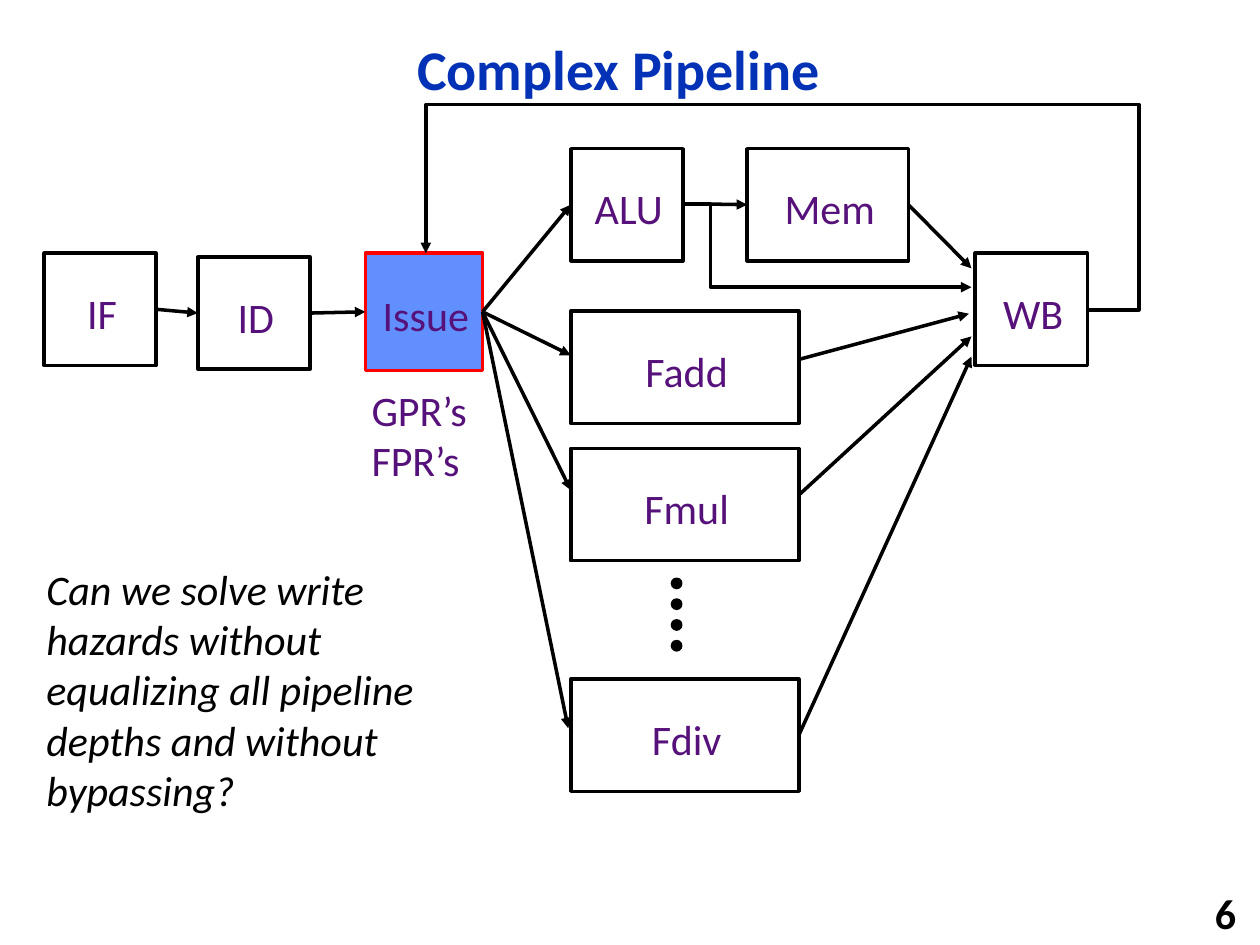
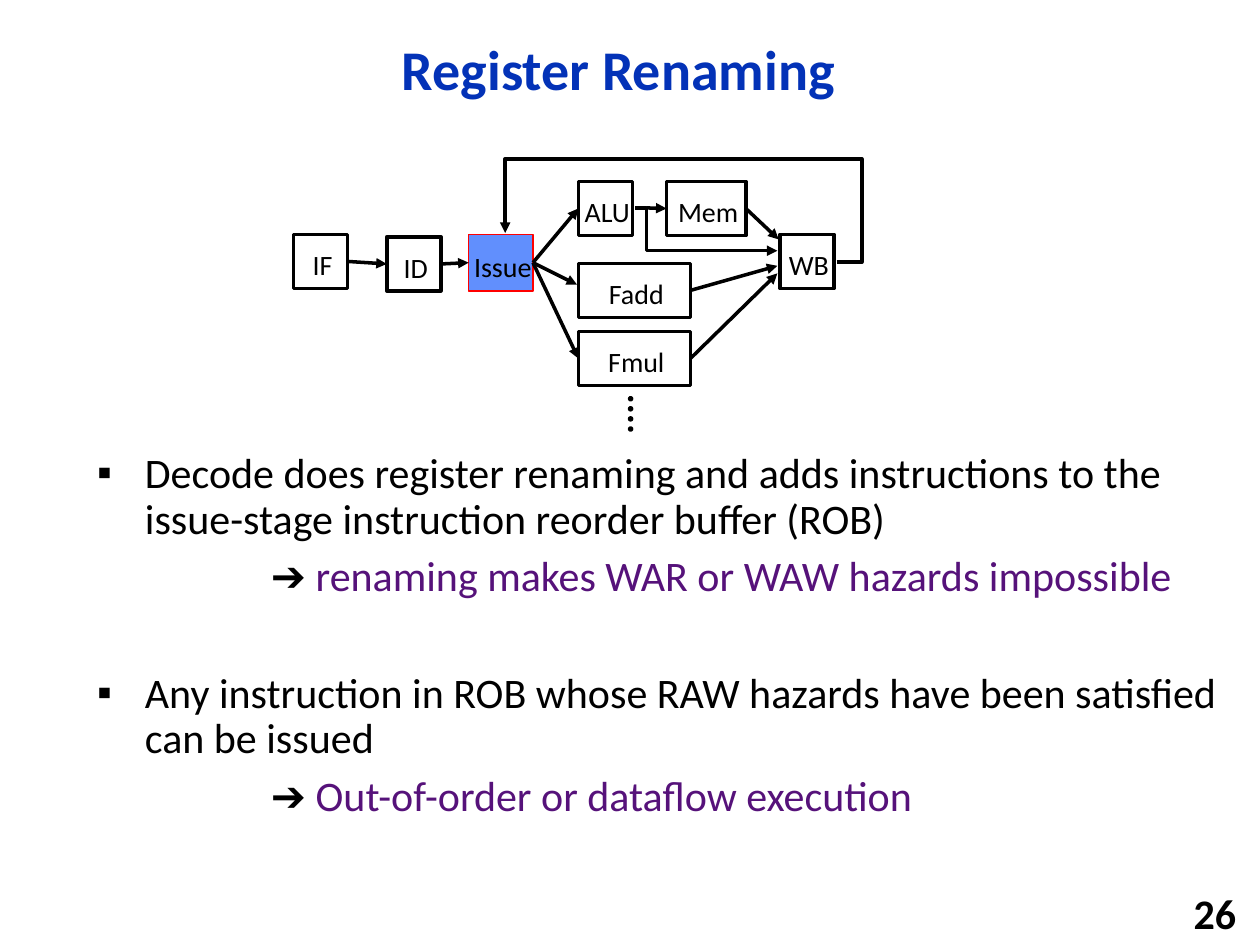
from lxml import etree
from pptx import Presentation
from pptx.dml.color import RGBColor
from pptx.enum import shapes, text
from pptx.oxml.ns import qn
from pptx.util import Inches, Pt

COLORS = {
    "title": "0332B7",
    "ink": "000000",
    "accent": "56127A",
    "issue_fill": "618FFD",
    "issue_line": "FF0000",
}
FONT = "Calibri"
LEFT_SIDE, RIGHT_SIDE = 1, 3

# Stage boxes: left, top, width, height. A stage name in an arrow means the
# middle of its right side (start) or of its left side (end).
COMPLEX_PIPELINE = {
    "stages": {
        "IF": (0.35, 2.01, 0.89, 0.89),
        "ID": (1.57, 2.04, 0.89, 0.89),
        "Issue": (2.9, 2.01, 0.93, 0.93),
        "ALU": (4.53, 1.18, 0.89, 0.89),
        "Mem": (5.93, 1.18, 1.28, 0.89),
        "Fadd": (4.53, 2.47, 1.81, 0.89),
        "Fmul": (4.53, 3.56, 1.81, 0.89),
        "Fdiv": (4.53, 5.39, 1.81, 0.89),
        "WB": (7.74, 2.01, 0.89, 0.89),
    },
    "arrows": [
        ("IF", "ID"),
        ("ID", "Issue"),
        ("Issue", "ALU"),
        ("Issue", (4.53, 2.82)),
        ("Issue", (4.53, 3.89)),
        ("Issue", (4.51, 5.78)),
        ((5.64, 1.62), "Mem"),
        ("Mem", (7.71, 2.13)),
        ((6.35, 2.85), (7.69, 2.49)),
        ((6.35, 3.92), (7.71, 2.67)),
        ("Fdiv", (7.71, 2.83)),
    ],
    "bent_arrows": [
        [(5.43, 1.62), (5.64, 1.62), (5.64, 2.28), (7.71, 2.28)],
        [(8.64, 2.46), (9.04, 2.46), (9.04, 0.83), (3.38, 0.83), (3.38, 2.01)],
    ],
    "dots": {"left": 5.33, "top": 4.59, "size": 0.08, "pitch": 0.165},
    "label": {"size": 24, "color": "accent"},
    "issue_line_width": 2,
}
RENAMING_PIPELINE = {
    "stages": {
        "IF": (2.33, 1.86, 0.43, 0.43),
        "ID": (3.07, 1.88, 0.43, 0.43),
        "Issue": (3.72, 1.86, 0.51, 0.45),
        "ALU": (4.59, 1.44, 0.43, 0.43),
        "Mem": (5.29, 1.44, 0.63, 0.43),
        "Fadd": (4.59, 2.09, 0.89, 0.43),
        "Fmul": (4.59, 2.63, 0.89, 0.43),
        "WB": (6.19, 1.86, 0.43, 0.43),
    },
    "arrows": [
        ("IF", "ID"),
        ("ID", "Issue"),
        ("Issue", "ALU"),
        ("Issue", (4.58, 2.26)),
        ("Issue", "Fmul"),
        ((5.13, 1.65), "Mem"),
        ("Mem", (6.18, 1.9)),
        ("Fadd", (6.17, 2.11)),
        ("Fmul", (6.17, 2.17)),
    ],
    "bent_arrows": [
        [(5.04, 1.65), (5.13, 1.65), (5.13, 1.99), (6.17, 1.99)],
        [(6.64, 2.08), (6.84, 2.08), (6.84, 1.26), (4.01, 1.26), (4.01, 1.85)],
    ],
    "dots": {"left": 4.99, "top": 3.15, "size": 0.03, "pitch": 0.08},
    "label": {"size": 16, "color": "ink"},
    "issue_line_width": 0.75,
}


def rgb(name):
    return RGBColor.from_string(COLORS[name])


def add_run(paragraph, words, size=24, color="ink", bold=False, italic=False):
    run = paragraph.add_run()
    run.text = words
    font = run.font
    font.name, font.size = FONT, Pt(size)
    font.bold, font.italic = bold, italic
    font.color.rgb = rgb(color)


def place(shape, left, top, width, height):
    shape.left, shape.top = Inches(left), Inches(top)
    shape.width, shape.height = Inches(width), Inches(height)


def add_text(slide, box, lines, wrap=True, align=text.PP_ALIGN.LEFT,
             anchor=text.MSO_ANCHOR.TOP, **style):
    frame = slide.shapes.add_textbox(*map(Inches, box)).text_frame
    frame.word_wrap = wrap
    frame.vertical_anchor = anchor
    for index, line in enumerate(lines):
        paragraph = frame.add_paragraph() if index else frame.paragraphs[0]
        paragraph.alignment = align
        add_run(paragraph, line, **style)


def add_slide(presentation, layout, title, number):
    """Start a slide with the shared title style and slide number."""
    slide = presentation.slides.add_slide(presentation.slide_layouts[layout])
    place(slide.shapes.title, 0.92, 0.17, 7.98, 0.81)
    frame = slide.shapes.title.text_frame
    frame.auto_size = text.MSO_AUTO_SIZE.NONE
    frame.vertical_anchor = text.MSO_ANCHOR.MIDDLE
    paragraph = frame.paragraphs[0]
    paragraph.alignment = text.PP_ALIGN.CENTER
    paragraph.line_spacing = 0.9
    add_run(paragraph, title, size=32, color="title", bold=True)
    add_text(slide, (7.83, 7.08, 2.08, 0.32), [number], wrap=False, bold=True,
             align=text.PP_ALIGN.RIGHT, anchor=text.MSO_ANCHOR.MIDDLE)
    return slide


def set_line(shape, color="ink", width=2, arrow=False):
    shape.line.color.rgb = rgb(color)
    shape.line.width = Pt(width)
    if arrow:
        outline = shape.element.find(".//" + qn("a:ln"))
        etree.SubElement(outline, qn("a:tailEnd"), type="triangle")


def add_stage(slide, name, box, label, issue_line_width):
    stage = slide.shapes.add_shape(shapes.MSO_SHAPE.RECTANGLE, *map(Inches, box))
    stage.shadow.inherit = False
    if name == "Issue":
        stage.fill.solid()
        stage.fill.fore_color.rgb = rgb("issue_fill")
        set_line(stage, "issue_line", issue_line_width)
    else:
        stage.fill.background()
        set_line(stage)
    frame = stage.text_frame
    frame.word_wrap = False
    frame.margin_left, frame.margin_right = Inches(0.03), Inches(0)
    frame.margin_top, frame.margin_bottom = Inches(0.05), Inches(0)
    frame.vertical_anchor = text.MSO_ANCHOR.MIDDLE
    frame.paragraphs[0].alignment = text.PP_ALIGN.CENTER
    add_run(frame.paragraphs[0], name, **label)
    return stage


def add_arrow(slide, stages, start, end):
    points = [(0, 0) if isinstance(point, str) else point for point in (start, end)]
    arrow = slide.shapes.add_connector(
        shapes.MSO_CONNECTOR.STRAIGHT,
        *(Inches(value) for point in points for value in point))
    if isinstance(start, str):
        arrow.begin_connect(stages[start], RIGHT_SIDE)
    if isinstance(end, str):
        arrow.end_connect(stages[end], LEFT_SIDE)
    set_line(arrow, arrow=True)
    etree.SubElement(arrow.element.spPr, qn("a:effectLst"))


def add_bent_arrow(slide, points):
    corners = [(Inches(x), Inches(y)) for x, y in points]
    builder = slide.shapes.build_freeform(*corners[0])
    builder.add_line_segments(corners[1:], close=False)
    arrow = builder.convert_to_shape()
    arrow.shadow.inherit = False
    arrow.fill.background()
    set_line(arrow, arrow=True)


def add_dots(slide, left, top, size, pitch, count=4):
    for index in range(count):
        dot = slide.shapes.add_shape(
            shapes.MSO_SHAPE.OVAL, Inches(left), Inches(top + index * pitch),
            Inches(size), Inches(size))
        dot.shadow.inherit = False
        dot.fill.solid()
        dot.fill.fore_color.rgb = rgb("ink")
        set_line(dot, width=1)


def add_pipeline(slide, pipeline):
    stages = {
        name: add_stage(slide, name, box, pipeline["label"], pipeline["issue_line_width"])
        for name, box in pipeline["stages"].items()
    }
    for start, end in pipeline["arrows"]:
        add_arrow(slide, stages, start, end)
    for points in pipeline["bent_arrows"]:
        add_bent_arrow(slide, points)
    add_dots(slide, **pipeline["dots"])


def format_item(paragraph, space_before, margin, indent=0, bullet=None):
    paragraph.line_spacing = 0.9
    paragraph.space_before = Pt(space_before)
    properties = paragraph._p.get_or_add_pPr()
    properties.set("marL", str(Inches(margin)))
    properties.set("indent", str(Inches(indent)))
    if bullet:
        etree.SubElement(properties, qn("a:buChar"), char=bullet)
    else:
        etree.SubElement(properties, qn("a:buNone"))


def fill_body(body, points):
    """Write each statement as a bullet, with its consequence indented below."""
    place(body, 0.67, 3.54, 9.33, 3.19)
    frame = body.text_frame
    frame.auto_size = text.MSO_AUTO_SIZE.NONE
    for index, (statement, consequence) in enumerate(points):
        paragraph = frame.add_paragraph() if index else frame.paragraphs[0]
        format_item(paragraph, 40.5 if index else 0, 0.38, -0.38, "▪")
        add_run(paragraph, statement)
        paragraph = frame.add_paragraph()
        format_item(paragraph, 7.2, 1.38)
        add_run(paragraph, "➔ ")
        add_run(paragraph, consequence, color="accent")


def main():
    presentation = Presentation()
    presentation.slide_width, presentation.slide_height = Inches(10), Inches(7.5)

    slide = add_slide(presentation, 5, "Complex Pipeline", "6")
    add_pipeline(slide, COMPLEX_PIPELINE)
    add_text(slide, (2.85, 3, 0.98, 0.91), ["GPR’s", "FPR’s"], wrap=False, color="accent")
    add_text(slide, (0.27, 4.42, 3.6, 2.12),
             ["Can we solve write hazards without equalizing all pipeline "
              "depths and without bypassing?"], italic=True)

    slide = add_slide(presentation, 1, "Register Renaming", "26")
    fill_body(slide.placeholders[1], [
        ("Decode does register renaming and adds instructions to the "
         "issue-stage instruction reorder buffer (ROB)",
         "renaming makes WAR or WAW hazards impossible"),
        ("Any instruction in ROB whose RAW hazards have been satisfied can be issued",
         "Out-of-order or dataflow execution"),
    ])
    add_pipeline(slide, RENAMING_PIPELINE)

    presentation.save("out.pptx")


if __name__ == "__main__":
    main()
